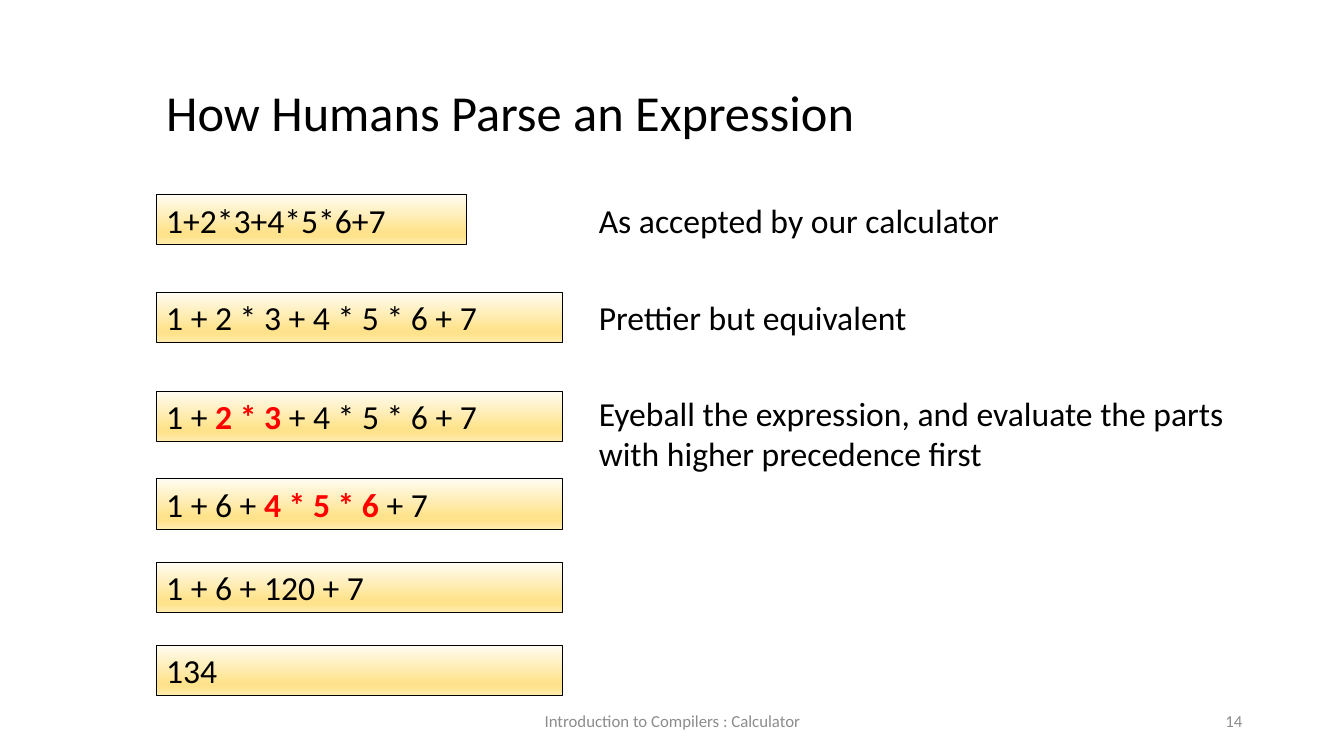
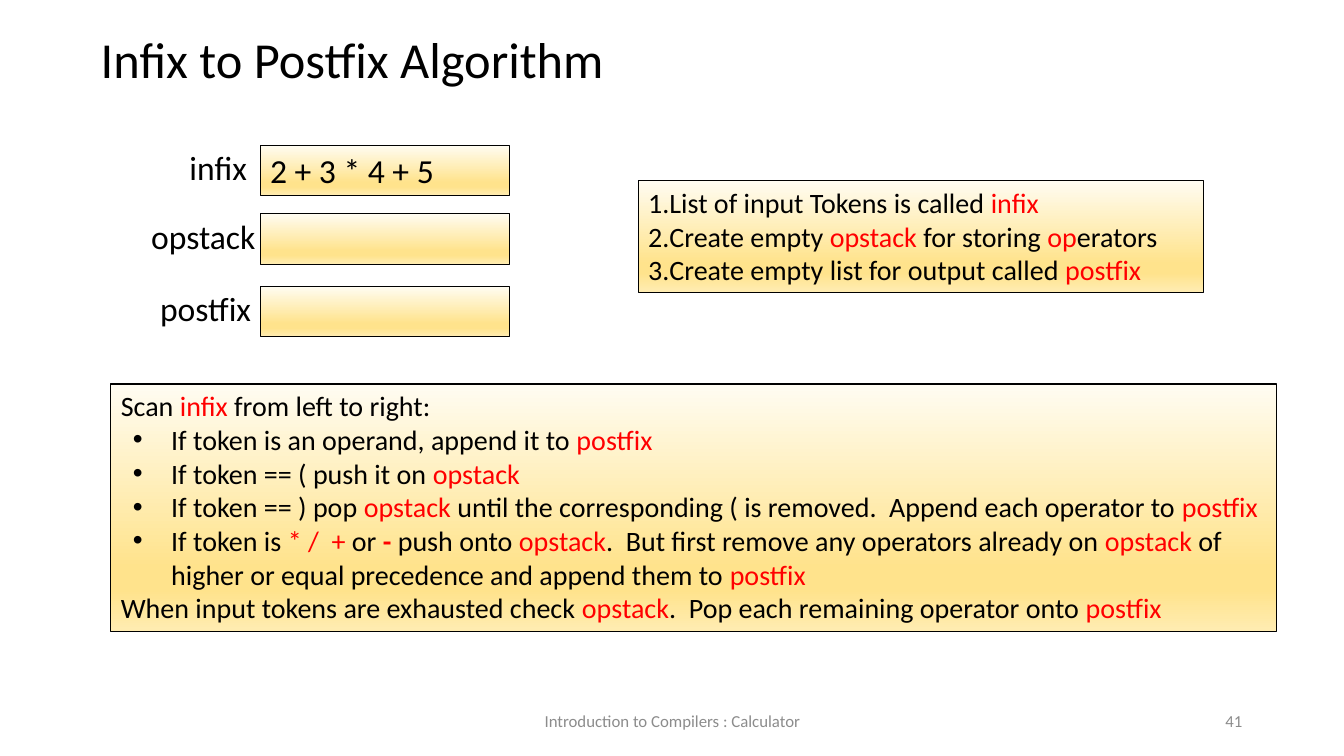
from lxml.etree import SubElement
from pptx import Presentation
from pptx.dml.color import RGBColor
from pptx.enum.shapes import MSO_SHAPE as Preset
from pptx.enum.text import MSO_ANCHOR as Anchor, MSO_AUTO_SIZE as AutoSize, PP_ALIGN as Align
from pptx.oxml.ns import qn
from pptx.util import Emu, Pt

EMU_PER_PX = 9144
FONT = "Calibri"
BLACK, RED, GREY = "000000", "FF0000", "8C8C8C"
GOLD_STOPS = [(0, "FFFCF2"), (74, "FFE38C"), (83, "FFE38C"), (100, "FFECB2")]
ROW = 50


def px(length):
    """Turn whole px into EMU."""
    return Emu(length * EMU_PER_PX)


def colour(value):
    """Turn a hex string into a colour."""
    return RGBColor.from_string(value)


def key(words):
    """Return a highlighted run."""
    return words, RED, False


def strong(words):
    """Return a bold highlighted run."""
    return words, RED, True


def numbered(*runs):
    """Return a numbered paragraph."""
    return "number", runs


def bulleted(*runs):
    """Return a bulleted paragraph."""
    return "bullet", runs


def plain(*runs):
    """Return a paragraph without a marker."""
    return "", runs


class Deck:
    """Hold the shared style and the current slide."""

    def __init__(self):
        """Start an empty wide presentation."""
        self.file = Presentation()
        self.file.slide_width, self.file.slide_height = px(1333), px(750)
        self.slide = None

    def start(self, number):
        """Add a slide with its footer and number."""
        self.slide = self.file.slides.add_slide(self.file.slide_layouts[6])
        self.footer(442, 450, "Introduction to Compilers : Calculator", Align.CENTER)
        self.footer(942, 300, str(number), Align.RIGHT)

    def footer(self, left, width, words, align):
        """Add one grey text to the bottom band."""
        frame = self.text(left, 695, width, 40, [plain((words, GREY, False))], 12)
        frame.auto_size = AutoSize.NONE
        frame.vertical_anchor = Anchor.MIDDLE
        frame.paragraphs[0].alignment = align

    def title(self, left, top, width, words):
        """Add the slide title."""
        self.text(left, top, width, 71, [plain(words)], 36)

    def text(self, left, top, width, height, paragraphs, size=24, wrap=True):
        """Add text without a frame."""
        box = self.slide.shapes.add_textbox(px(left), px(top), px(width), px(height))
        return self.set_text(box.text_frame, paragraphs, size, wrap)

    def panel(self, left, top, width, height, paragraphs=(), size=24):
        """Add a golden box, with text if any is given."""
        box = self.slide.shapes.add_shape(
            Preset.RECTANGLE, px(left), px(top), px(width), px(height))
        box.shadow.inherit = False
        box.fill.gradient()
        box.fill.gradient_angle = 270
        stops = box._element.spPr.find(qn("a:gradFill")).find(qn("a:gsLst"))
        for default in list(stops):
            stops.remove(default)
        for percent, shade in GOLD_STOPS:
            stop = SubElement(stops, qn("a:gs"), pos=str(percent * 1000))
            SubElement(stop, qn("a:srgbClr"), val=shade)
        box.line.color.rgb = colour(BLACK)
        box.line.width = Pt(0.75)
        if paragraphs:
            self.set_text(box.text_frame, paragraphs, size)

    def set_text(self, frame, paragraphs, size, wrap=True):
        """Fill a text frame paragraph by paragraph."""
        frame.word_wrap = wrap
        frame.auto_size = AutoSize.SHAPE_TO_FIT_TEXT
        frame.vertical_anchor = Anchor.TOP
        for index, (marker, runs) in enumerate(paragraphs):
            paragraph = frame.add_paragraph() if index else frame.paragraphs[0]
            paragraph.alignment = Align.LEFT
            self.mark(paragraph, marker)
            for part in runs:
                words, shade, bold = (part, BLACK, False) if isinstance(part, str) else part
                run = paragraph.add_run()
                run.text = words
                run.font.name, run.font.size, run.font.bold = FONT, Pt(size), bold
                run.font.color.rgb = colour(shade)
        return frame

    def mark(self, paragraph, marker):
        """Give a paragraph its number or bullet."""
        if not marker:
            return
        settings = paragraph._p.get_or_add_pPr()
        settings.set("indent", str(px(-38)))
        if marker == "number":
            settings.set("marL", "0")
            SubElement(settings, qn("a:buAutoNum"), type="arabicPeriod")
        else:
            paragraph.level = 1
            settings.set("marL", str(px(50)))
            SubElement(settings, qn("a:buFont"), typeface="Arial")
            SubElement(settings, qn("a:buChar"), char="•")


def parsing_slide(deck):
    """Show an expression evaluated step by step."""
    deck.start(14)
    deck.title(155, 76, 1073, "How Humans Parse an Expression")
    steps = [
        (193, 308, ["1+2*3+4*5*6+7"]),
        (290, 403, ["1 + 2 * 3 + 4 * 5 * 6 + 7"]),
        (388, 403, ["1 + ", strong("2 * 3"), " + 4 * 5 * 6 + 7"]),
        (475, 403, ["1 + 6 + ", strong("4 * 5 * 6"), " + 7"]),
        (558, 403, ["1 + 6 + 120 + 7"]),
        (640, 403, ["134"]),
    ]
    for top, width, expression in steps:
        deck.panel(155, top, width, ROW, [plain(*expression)])
    remarks = [
        (193, 571, ROW, "As accepted by our calculator"),
        (290, 571, ROW, "Prettier but equivalent"),
        (385, 669, 91, "Eyeball the expression, and evaluate the parts "
                       "with higher precedence first"),
    ]
    for top, width, height, remark in remarks:
        deck.text(584, top, width, height, [plain(remark)])


def algorithm_slide(deck):
    """Show the lists and rules of the conversion."""
    deck.start(41)
    deck.title(90, 23, 651, "Infix to Postfix Algorithm")
    infix, opstack, postfix = key("infix"), key("opstack"), key("postfix")
    lists = [
        (144, 178, 93, "infix", [plain("2 + 3 * 4 + 5")]),
        (212, 140, 140, "opstack", []),
        (284, 149, 127, "postfix", []),
    ]
    for top, left, width, label, content in lists:
        deck.panel(258, top, 247, ROW, content)
        deck.text(left, top - 3, width, ROW, [plain(label)], wrap=False)
    deck.panel(633, 179, 561, 111, [
        numbered("List of input Tokens is called ", infix),
        numbered("Create empty ", opstack, " for storing ", key("op"), "erators"),
        numbered("Create empty list for output called ", postfix),
    ], 20)
    deck.panel(110, 381, 1156, 246, [
        plain("Scan ", infix, " from left to right:"),
        bulleted("If token is an operand, append it to ", postfix),
        bulleted("If token == ( push it on ", opstack),
        bulleted("If token == ) pop ", opstack,
                 " until the corresponding ( is removed.  Append each operator to ", postfix),
        bulleted("If token is ", key("* /  + "), "or ", strong("-"), " push onto ", opstack,
                 ".  But first remove any operators already on ", opstack,
                 " of higher or equal precedence and append them to ", postfix),
        plain("When input tokens are exhausted check ", opstack,
              ".  Pop each remaining operator onto ", postfix),
    ], 20)


def main():
    """Build and save the slides."""
    deck = Deck()
    parsing_slide(deck)
    algorithm_slide(deck)
    deck.file.save("out.pptx")


if __name__ == "__main__":
    main()
